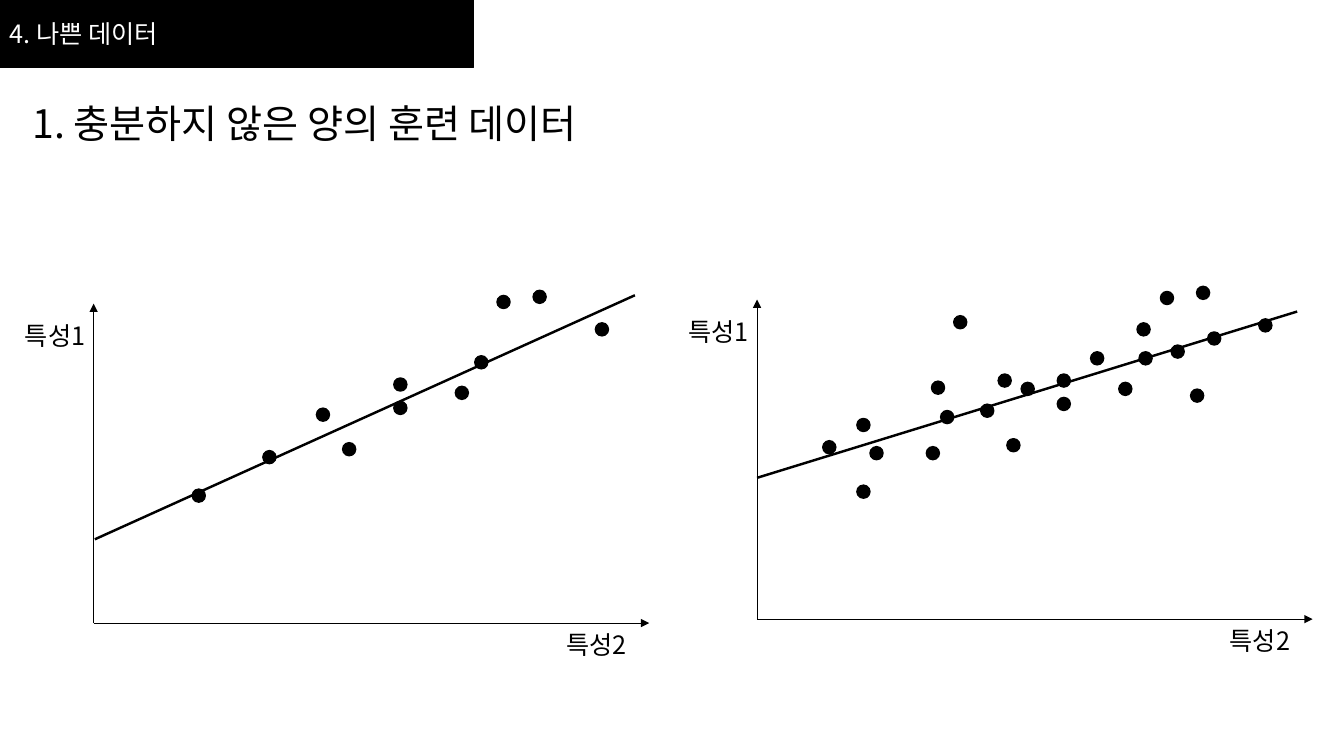
"""Build a slide that compares a small and a larger training set as two scatter plots."""
import pptx
import pptx.dml.color
import pptx.enum.shapes
import pptx.enum.text
import pptx.oxml.ns
import pptx.util
from lxml import etree
from pptx.util import Cm

SECTION = "4. 나쁜 데이터"
HEADING = "1. 충분하지 않은 양의 훈련 데이터"
FONT = "Noto Sans CJK KR"
BLACK, WHITE = "000000", "FFFFFF"

AXIS_WIDTH, AXIS_HEIGHT = 14, 8.05
DOT_SIZE = 0.33
LABEL_SIZE = (2.1, 1.02)
AXIS_LABELS = [("특성1", -1.98, 7.75), ("특성2", 11.66, -0.03)]

PLOTS = [
    {
        "origin": (19.08, 15.6),
        "trend": [(0, 3.56), (13.61, 7.75)],
        "dots": [
            (2.68, 3.21), (1.82, 4.33), (3.01, 4.18), (2.68, 4.89),
            (4.43, 4.18), (5.12, 7.48), (4.56, 5.83), (5.8, 5.25),
            (6.24, 6.01), (6.82, 5.8), (4.79, 5.09), (8.57, 6.57),
            (7.73, 5.42), (9.74, 7.3), (9.28, 5.8), (7.73, 6.01),
            (6.46, 4.38), (10.33, 8.09), (10.6, 6.74), (9.79, 6.57),
            (11.24, 8.22), (11.09, 5.63), (11.52, 7.07), (12.81, 7.4),
        ],
    },
    {
        "origin": (2.36, 15.7),
        "trend": [(0.03, 2.11), (13.64, 8.26)],
        "dots": [
            (2.65, 3.21), (4.43, 4.18), (5.78, 5.25), (7.73, 5.42),
            (9.28, 5.8), (7.73, 6.01), (6.44, 4.38), (10.33, 8.09),
            (9.77, 6.57), (11.24, 8.22), (12.81, 7.4),
        ],
    },
]


def color(value):
    return pptx.dml.color.RGBColor.from_string(value)


def write(frame, text, size, ink, anchor):
    frame.word_wrap = True
    frame.auto_size = pptx.enum.text.MSO_AUTO_SIZE.NONE
    frame.vertical_anchor = anchor
    paragraph = frame.paragraphs[0]
    paragraph.alignment = pptx.enum.text.PP_ALIGN.LEFT
    paragraph.line_spacing = 1.0
    run = paragraph.add_run()
    run.text = text
    run.font.size = pptx.util.Pt(size)
    run.font.name = FONT
    run.font.color.rgb = color(ink)
    east_asian = etree.SubElement(run.font._element, pptx.oxml.ns.qn("a:ea"))
    east_asian.set("typeface", FONT)


def add_solid(slide, kind, left, top, width, height):
    solid = slide.shapes.add_shape(kind, Cm(left), Cm(top), Cm(width), Cm(height))
    solid.shadow.inherit = False
    solid.fill.solid()
    solid.fill.fore_color.rgb = color(BLACK)
    solid.line.color.rgb = color(BLACK)
    solid.line.width = pptx.util.Pt(1)
    return solid


def add_line(slide, start, end, weight, arrow=False):
    line = slide.shapes.add_connector(
        pptx.enum.shapes.MSO_CONNECTOR.STRAIGHT, *map(Cm, start + end))
    line.line.color.rgb = color(BLACK)
    line.line.width = pptx.util.Pt(weight)
    if arrow:
        outline = line.line._get_or_add_ln()
        etree.SubElement(outline, pptx.oxml.ns.qn("a:tailEnd")).set("type", "triangle")
    etree.SubElement(line._element.spPr, pptx.oxml.ns.qn("a:effectLst"))


def add_plot(slide, plot):
    origin_x, origin_y = plot["origin"]

    def place(x, y):
        return origin_x + x, origin_y - y

    add_line(slide, place(0, 0), place(0, AXIS_HEIGHT), 0.5, arrow=True)
    add_line(slide, place(0, 0), place(AXIS_WIDTH, 0), 0.5, arrow=True)
    for text, x, y in AXIS_LABELS:
        label = slide.shapes.add_textbox(*map(Cm, place(x, y) + LABEL_SIZE))
        write(label.text_frame, text, 18, BLACK, pptx.enum.text.MSO_ANCHOR.TOP)
    for x, y in plot["dots"]:
        left, top = place(x - DOT_SIZE / 2, y + DOT_SIZE / 2)
        add_solid(slide, pptx.enum.shapes.MSO_SHAPE.OVAL, left, top, DOT_SIZE, DOT_SIZE)
    start, end = plot["trend"]
    add_line(slide, place(*start), place(*end), 1.75)


def main():
    deck = pptx.Presentation()
    deck.slide_width, deck.slide_height = Cm(33.87), Cm(19.05)
    slide = deck.slides.add_slide(deck.slide_layouts.get_by_name("Title Only"))

    heading = slide.shapes.title
    heading.left, heading.top = Cm(0.56), Cm(2.36)
    heading.width, heading.height = Cm(16), Cm(1.45)
    write(heading.text_frame, HEADING, 28, BLACK, pptx.enum.text.MSO_ANCHOR.MIDDLE)

    section = add_solid(slide, pptx.enum.shapes.MSO_SHAPE.RECTANGLE, 0, 0, 11.94, 1.7)
    write(section.text_frame, SECTION, 18, WHITE, pptx.enum.text.MSO_ANCHOR.MIDDLE)

    for plot in PLOTS:
        add_plot(slide, plot)
    deck.save("out.pptx")


if __name__ == "__main__":
    main()
